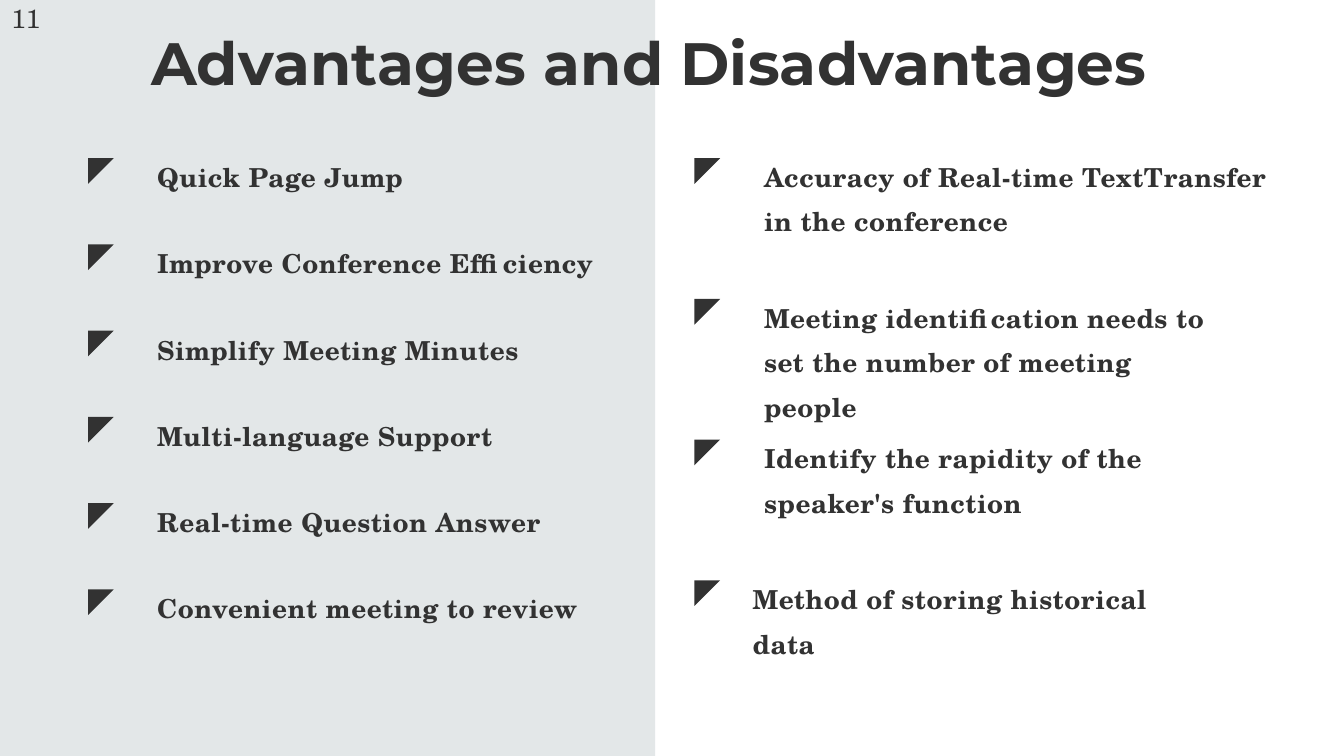
from pptx import Presentation
from pptx.dml.color import RGBColor
from pptx.enum.shapes import MSO_SHAPE as Geo
from pptx.enum.text import MSO_AUTO_SIZE as Fit
from pptx.util import Cm, Pt

PROS = [
    "Quick Page Jump",
    "Improve Conference Efficiency",
    "Simplify Meeting Minutes",
    "Multi-language Support",
    "Real-time Question Answer",
    "Convenient meeting to review",
]
# Text, left edge and width in cm
CONS = [
    ("Accuracy of Real-time TextTransfer in the conference", 28.88, 19.63),
    ("Meeting identification needs to set the number of meeting people", 28.88, 16.76),
    ("Identify the rapidity of the speaker's function", 28.88, 16.76),
    ("Method of storing historical data", 28.45, 16.76),
]
TOP = 5.61
PRO_STEP = 3.26
CON_STEP = 5.32


def paint(fill, color):
    fill.solid()
    fill.fore_color.rgb = RGBColor.from_string(color)


class Deck:
    """Holds the style and the current slide."""
    dark = "323232"
    pale = "E3E7E8"
    head = "Montserrat"
    body = "TeX Gyre Schola"

    def __init__(self, slide):
        self.shapes = slide.shapes

    def finish(self, shape, color):
        """Fill a shape flat, with no line and no shadow."""
        paint(shape.fill, color)
        shape.line.fill.background()
        shape.shadow.inherit = False

    def panel(self, x, y, w, h):
        box = self.shapes.add_shape(Geo.RECTANGLE, Cm(x), Cm(y), Cm(w), Cm(h))
        self.finish(box, self.pale)

    def text(self, text, x, y, w, h, font=body, size=28, bold=True, lead=47.6, gap=60):
        """Add a text box; lead is in points, gap in hundredths of a point."""
        box = self.shapes.add_textbox(Cm(x), Cm(y), Cm(w), Cm(h))
        frame = box.text_frame
        frame.margin_left = frame.margin_right = 0
        frame.margin_top = frame.margin_bottom = 0
        frame.word_wrap = True
        frame.auto_size = Fit.SHAPE_TO_FIT_TEXT
        para = frame.paragraphs[0]
        para.line_spacing = Pt(lead)
        run = para.add_run()
        run.text = text
        run.font.name = font
        run.font.size = Pt(size)
        run.font.bold = bold
        paint(run.font.fill, self.dark)
        if gap:
            run.font._element.set("spc", str(gap))

    def corner(self, x, y, side=0.97):
        """Add a triangle with its right angle at the top left."""
        path = self.shapes.build_freeform(Cm(x), Cm(y + side))
        path.add_line_segments([(Cm(x), Cm(y)), (Cm(x + side), Cm(y))], close=True)
        self.finish(path.convert_to_shape(), self.dark)

    def item(self, text, mark, x, y, w, h):
        self.text(text, x, y, w, h)
        self.corner(mark, y + 0.37)


def main():
    prs = Presentation()
    prs.slide_width, prs.slide_height = Cm(50.8), Cm(28.58)
    deck = Deck(prs.slides.add_slide(prs.slide_layouts[6]))

    deck.panel(-1.17, -1.07, 25.93, 32.72)
    deck.text("Advantages and Disadvantages", 5.72, 0.53, 44.02, 3.2,
              font=deck.head, size=64, lead=89.6, gap=20)
    deck.text("11", 0.43, -0.1, 2.9, 1.4, bold=False, lead=39.2, gap=0)

    for i, (text, x, w) in enumerate(CONS):
        deck.item(text, 26.25, x, TOP + i * CON_STEP, w, 3.38)
    for i, text in enumerate(PROS):
        deck.item(text, 3.33, 5.94, TOP + i * PRO_STEP, 16.76, 1.7)

    prs.save("out.pptx")


if __name__ == "__main__":
    main()
